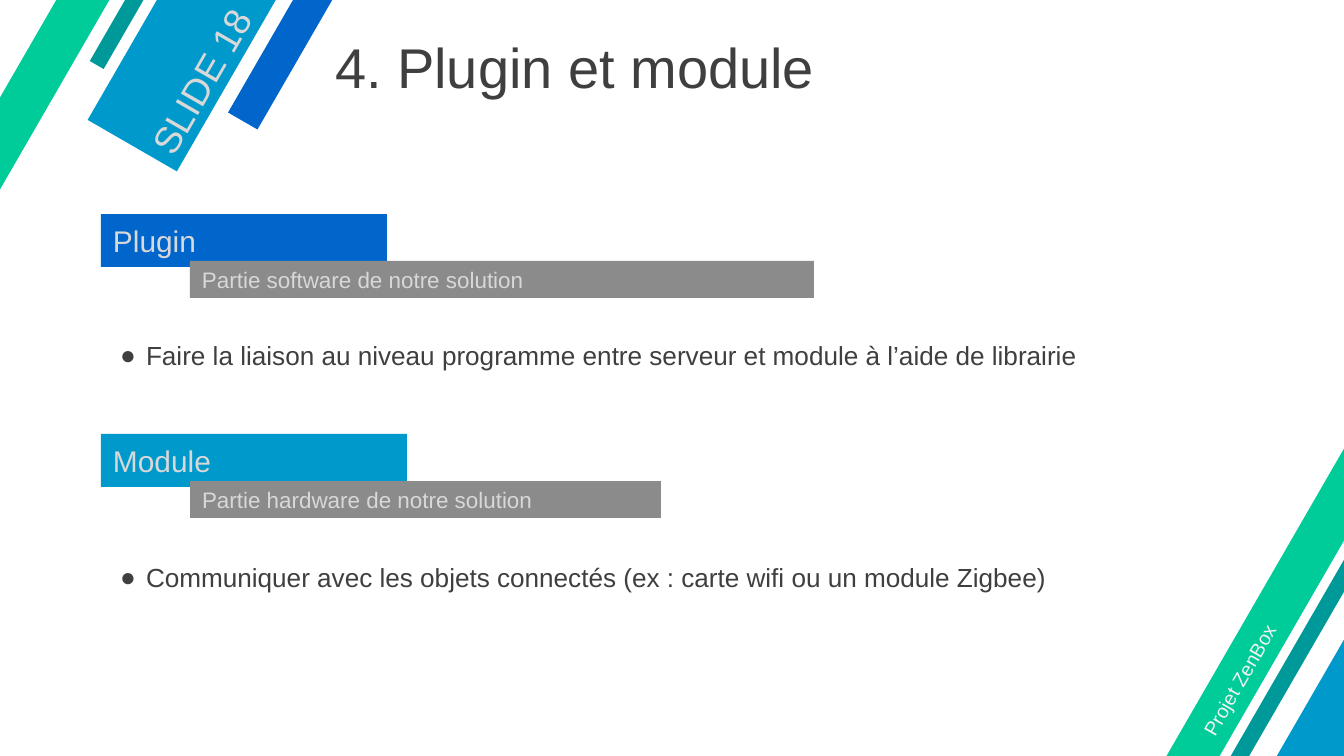
from lxml import etree
from pptx import Presentation
from pptx.dml.color import RGBColor
from pptx.enum.shapes import MSO_SHAPE
from pptx.enum.text import MSO_ANCHOR, MSO_AUTO_SIZE, PP_ALIGN
from pptx.oxml.ns import qn
from pptx.util import Emu, Pt

SLIDE_WIDTH, SLIDE_HEIGHT = 1344, 756
EMU_PER_PX = 18288000 / SLIDE_WIDTH
TILT = 300
FONT = "Arial"

BLUE, CYAN, TEAL, GREEN = "0066CC", "0099CC", "009999", "00CC99"
GREY, DARK, LIGHT, PALE = "8B8B8B", "3F3F3F", "D8D8D8", "F2F2F2"

BANDS = [
    (-95, -481, 1351, 34, BLUE),
    (-205, -490, 1349, 103, CYAN),
    (-241, -528, 1351, 16, TEAL),
    (-392, -368, 1348, 46, GREEN),
    (919, 259, 1349, 103, CYAN),
    (867, 224, 1351, 16, TEAL),
    (720, 385, 1348, 46, GREEN),
]

# top, heading, heading width, colour, subtitle, subtitle width, list top, list item
SECTIONS = [
    (214, "Plugin", 286, BLUE, "Partie software de notre solution", 624, 304,
     "Faire la liaison au niveau programme entre serveur et module à l’aide de librairie"),
    (434, "Module", 306, CYAN, "Partie hardware de notre solution", 471, 526,
     "Communiquer avec les objets connectés (ex : carte wifi ou un module Zigbee)"),
]


def px(length):
    return Emu(round(length * EMU_PER_PX))


def rgb(value):
    return RGBColor.from_string(value)


def place(shape, left, top, width, height):
    shape.left, shape.top = px(left), px(top)
    shape.width, shape.height = px(width), px(height)


def write(shape, text, size, color, anchor=MSO_ANCHOR.MIDDLE, margin_top=6):
    """Fill the shape with one left-aligned paragraph and return it."""
    frame = shape.text_frame
    frame.word_wrap = True
    frame.auto_size = MSO_AUTO_SIZE.NONE
    frame.vertical_anchor = anchor
    frame.margin_left = frame.margin_right = px(12)
    frame.margin_top, frame.margin_bottom = px(margin_top), px(6)
    paragraph = frame.paragraphs[0]
    paragraph.alignment = PP_ALIGN.LEFT
    paragraph.space_before = Pt(0)
    run = paragraph.add_run()
    run.text = text
    run.font.name = FONT
    run.font.size = Pt(size)
    run.font.color.rgb = rgb(color)
    return paragraph


def add_bar(slide, left, top, width, height, color):
    bar = slide.shapes.add_shape(
        MSO_SHAPE.RECTANGLE, px(left), px(top), px(width), px(height))
    bar.shadow.inherit = False
    bar.fill.solid()
    bar.fill.fore_color.rgb = rgb(color)
    bar.line.fill.background()
    return bar


def add_tilted_label(slide, left, top, width, text, size, color):
    label = slide.shapes.add_textbox(px(left), px(top), px(width), px(40))
    label.rotation = TILT
    write(label, text, size, color)


def add_bullet(paragraph, color):
    properties = paragraph._p.get_or_add_pPr()
    properties.set("marL", str(px(34)))
    properties.set("indent", str(px(-26)))
    bullet_color = etree.SubElement(properties, qn("a:buClr"))
    etree.SubElement(bullet_color, qn("a:srgbClr"), val=color)
    etree.SubElement(properties, qn("a:buFont"), typeface=FONT)
    etree.SubElement(properties, qn("a:buChar"), char="●")


def fill_list(placeholder, top, text):
    place(placeholder, 100, top, 1122, 111)
    paragraph = write(placeholder, text, 28, DARK, MSO_ANCHOR.TOP, margin_top=31)
    add_bullet(paragraph, DARK)
    paragraph.alignment = PP_ALIGN.JUSTIFY
    paragraph.line_spacing = 1.15


def add_section(slide, placeholder, section):
    top, heading, width, color, subtitle, subtitle_width, list_top, item = section
    write(add_bar(slide, 101, top, width, 53, color), heading, 32, LIGHT)
    subtitle_bar = add_bar(slide, 190, top + 47, subtitle_width, 37, GREY)
    write(subtitle_bar, subtitle, 24, LIGHT)
    fill_list(placeholder, list_top, item)


def main():
    presentation = Presentation()
    presentation.slide_width = px(SLIDE_WIDTH)
    presentation.slide_height = px(SLIDE_HEIGHT)
    two_content = presentation.slide_layouts[3]
    slide = presentation.slides.add_slide(two_content)

    for band in BANDS:
        add_bar(slide, *band).rotation = TILT

    title = slide.shapes.title
    place(title, 323, 30, 1005, 73)
    write(title, "4. Plugin et module", 60, DARK)
    add_tilted_label(slide, 99, 44, 223, "SLIDE 18", 40, LIGHT)
    add_tilted_label(slide, 1096, 540, 425, "Projet ZenBox", 21, PALE)

    for index, section in enumerate(SECTIONS, start=1):
        add_section(slide, slide.placeholders[index], section)

    presentation.save("out.pptx")


if __name__ == "__main__":
    main()
